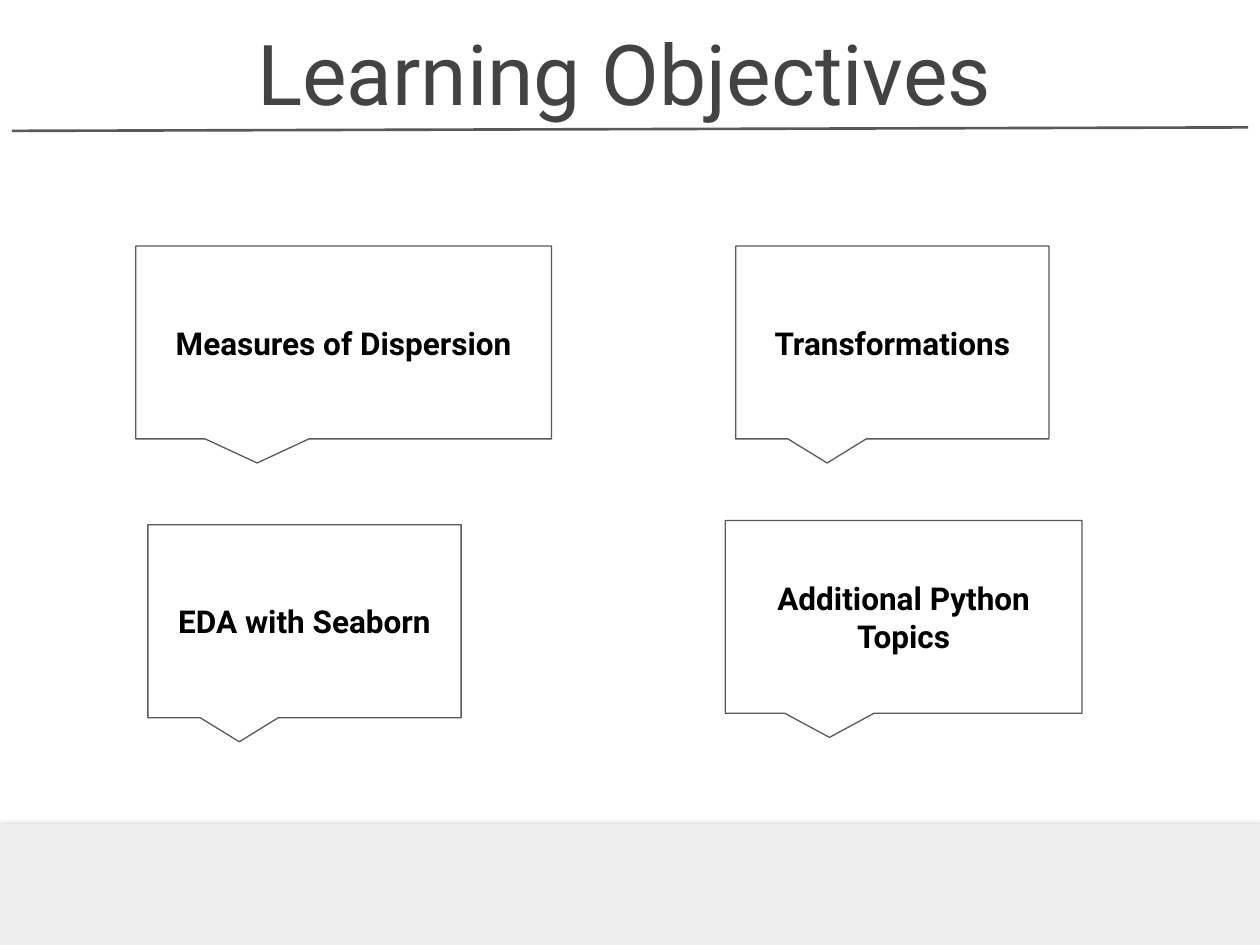
from typing import NamedTuple

from lxml.etree import SubElement
from pptx import Presentation
from pptx.dml.color import RGBColor
from pptx.enum.shapes import MSO_CONNECTOR, MSO_SHAPE
from pptx.enum.text import MSO_ANCHOR, PP_ALIGN
from pptx.oxml.ns import qn
from pptx.util import Pt

COLORS = {
    "background": "FFFFFF",
    "outline": "595959",
    "band": "EEEEEE",
    "shadow": "000000",
    "title": "434343",
    "topic": "000000",
}
FONT = "Roboto"
INSET = 7.2
CALLOUT_HEIGHT = 110.2
CALLOUT_POINTER = (-0.208, 0.625, 0)


class Callout(NamedTuple):
    topic: str
    left: float
    top: float
    width: float


CALLOUTS = [
    Callout("Measures of Dispersion", 77.6, 140.6, 237.6),
    Callout("Transformations", 420.4, 140.6, 179),
    Callout("EDA with Seaborn", 84.5, 299.9, 179),
    Callout("Additional Python Topics", 414.5, 297.4, 203.8),
]


def color(role: str) -> RGBColor:
    return RGBColor.from_string(COLORS[role])


def write_text(shape, text: str, *, size: float, role: str, bold: bool = False,
               anchor: MSO_ANCHOR = MSO_ANCHOR.MIDDLE) -> None:
    frame = shape.text_frame
    frame.word_wrap = True
    frame.vertical_anchor = anchor
    frame.margin_left = frame.margin_right = Pt(INSET)
    frame.margin_top = frame.margin_bottom = Pt(INSET)
    paragraph = frame.paragraphs[0]
    paragraph.alignment = PP_ALIGN.CENTER
    run = paragraph.add_run()
    run.text = text
    run.font.name = FONT
    run.font.size = Pt(size)
    run.font.bold = bold
    run.font.color.rgb = color(role)


def draw_rule(slide) -> None:
    rule = slide.shapes.add_connector(
        MSO_CONNECTOR.STRAIGHT, Pt(6.8), Pt(74.8), Pt(713.2), Pt(72.8))
    rule.line.color.rgb = color("outline")
    rule.line.width = Pt(1.5)
    SubElement(rule._element.spPr, qn("a:effectLst"))


def draw_band(slide) -> None:
    """Draw the footer band with a soft shadow that falls downwards."""
    band = slide.shapes.add_shape(
        MSO_SHAPE.RECTANGLE, Pt(0), Pt(470.8), Pt(720), Pt(72.6))
    band.fill.solid()
    band.fill.fore_color.rgb = color("band")
    band.line.fill.background()
    band.shadow.inherit = False
    effects = band._element.spPr.find(qn("a:effectLst"))
    shadow = SubElement(effects, qn("a:outerShdw"), blurRad=str(Pt(4.5)),
                        dist=str(Pt(1.5)), dir="5400000", algn="bl", rotWithShape="0")
    tint = SubElement(shadow, qn("a:srgbClr"), val=COLORS["shadow"])
    SubElement(tint, qn("a:alpha"), val="50000")


def draw_title(slide) -> None:
    title = slide.shapes.add_textbox(Pt(93.6), Pt(13.7), Pt(526.3), Pt(63.4))
    write_text(title, "Learning Objectives", size=48, role="title",
               anchor=MSO_ANCHOR.BOTTOM)


def draw_callout(slide, callout: Callout) -> None:
    bubble = slide.shapes.add_shape(
        MSO_SHAPE.ROUNDED_RECTANGULAR_CALLOUT, Pt(callout.left), Pt(callout.top),
        Pt(callout.width), Pt(CALLOUT_HEIGHT))
    for index, value in enumerate(CALLOUT_POINTER):
        bubble.adjustments[index] = value
    bubble.fill.background()
    bubble.line.color.rgb = color("outline")
    bubble.line.width = Pt(0.75)
    bubble.shadow.inherit = False
    write_text(bubble, callout.topic, size=18, role="topic", bold=True)


def main() -> None:
    deck = Presentation()
    deck.slide_width, deck.slide_height = Pt(720), Pt(540)
    slide = deck.slides.add_slide(deck.slide_layouts[6])
    slide.background.fill.solid()
    slide.background.fill.fore_color.rgb = color("background")
    draw_rule(slide)
    draw_band(slide)
    draw_title(slide)
    for callout in CALLOUTS:
        draw_callout(slide, callout)
    deck.save("out.pptx")


if __name__ == "__main__":
    main()
